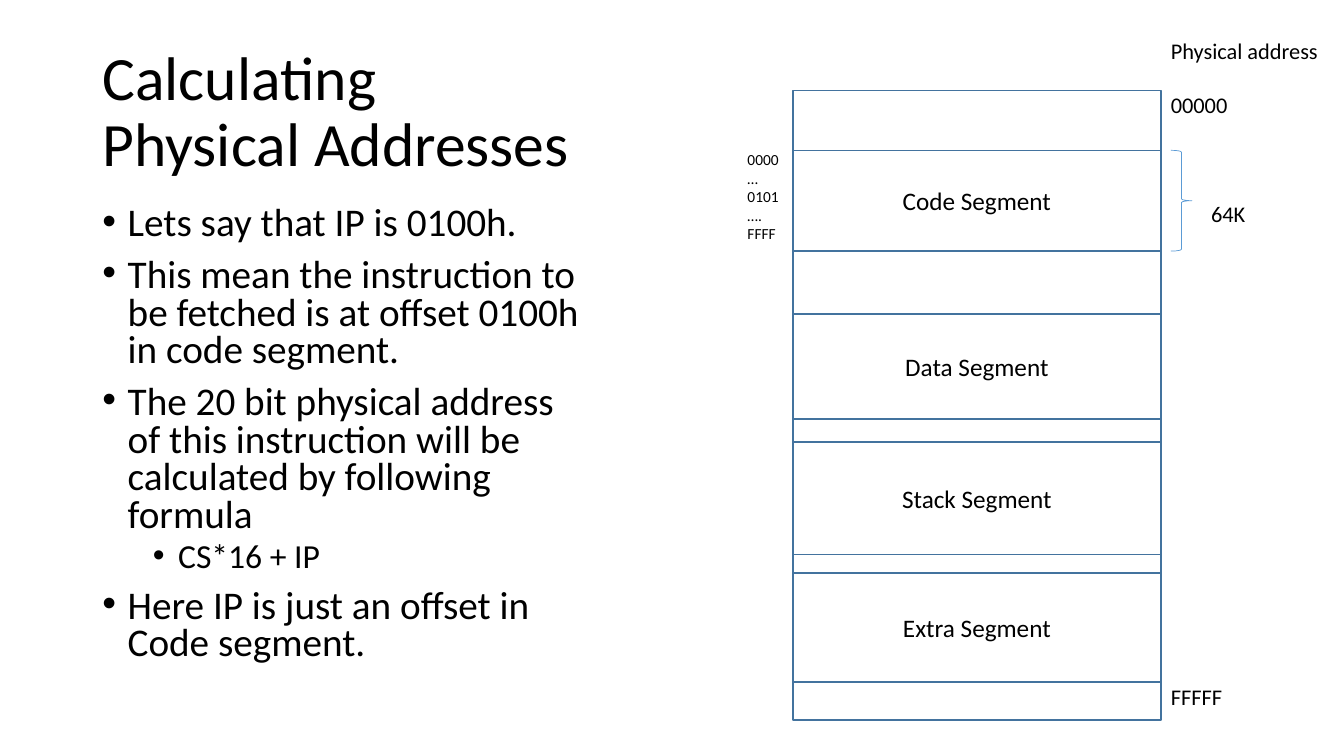
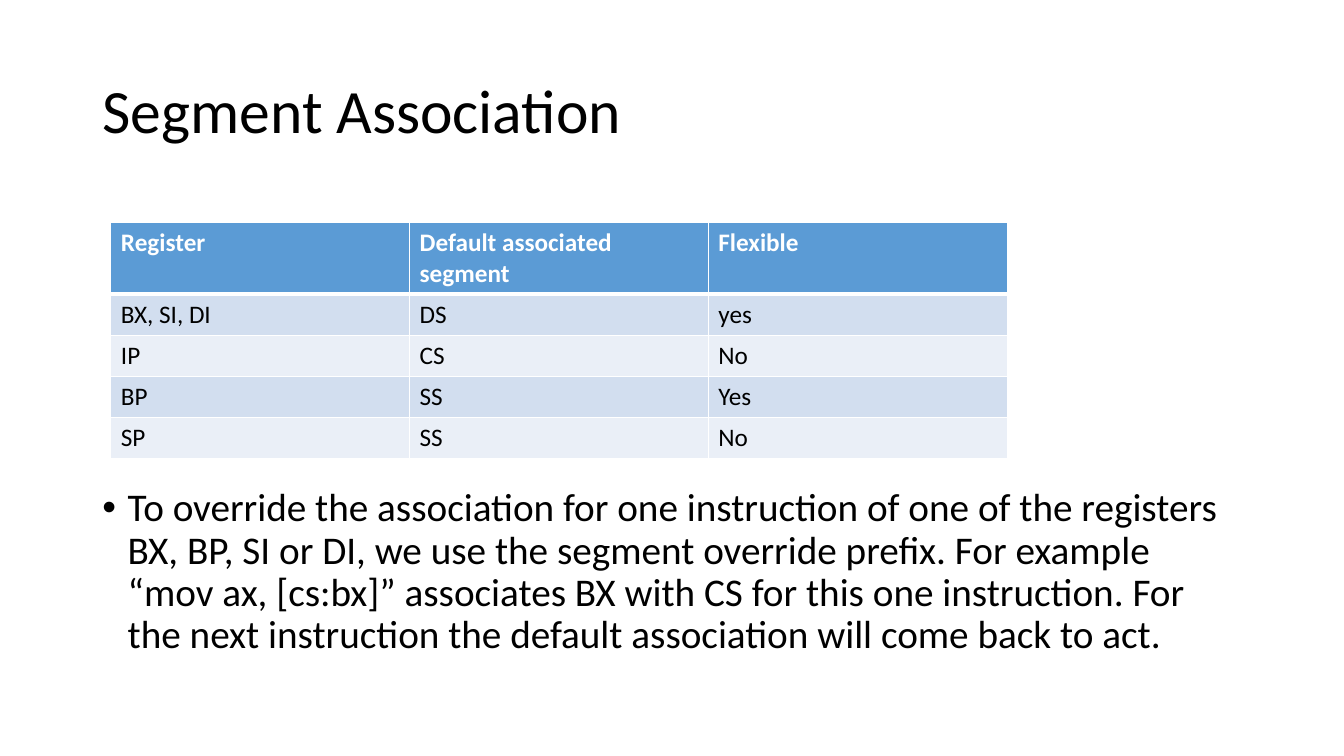
from lxml import etree
from pptx import Presentation
from pptx import util as u
from pptx.dml.color import RGBColor
from pptx.enum import shapes, text
from pptx.oxml.ns import qn

COLORS = {"ink": "000000", "paper": "FFFFFF", "outline": "43739E",
          "accent": "5B9BD5", "band": "D2DEEF", "pale": "EAEFF7"}
FONT = "Calibri"
COLUMNS, ROWS = 160, 90
LEFT, MIDDLE, TOP = text.PP_ALIGN.LEFT, text.MSO_ANCHOR.MIDDLE, text.MSO_ANCHOR.TOP
TITLE_TOP, TITLE_HEIGHT = 4.8, 17.4
MARGIN = 11
BULLET_LEVELS = [{"size": 28, "before": 10, "indent": 0.25},
                 {"size": 24, "before": 5, "indent": 0.75}]


def rgb(name):
    return RGBColor.from_string(COLORS[name])


def assign(obj, **values):
    for name, value in values.items():
        setattr(obj, name, value)


class Deck:
    """Holds the shared style and the current slide; boxes are (column, row, columns, rows)."""

    def __init__(self):
        self.prs = Presentation()
        assign(self.prs, slide_width=u.Inches(13.33), slide_height=u.Inches(7.5))
        self.slide = None

    def x(self, columns):
        return int(self.prs.slide_width * columns / COLUMNS)

    def y(self, rows):
        return int(self.prs.slide_height * rows / ROWS)

    def box(self, left, top, width, height):
        return self.x(left), self.y(top), self.x(width), self.y(height)

    def place(self, sp, box):
        assign(sp, **dict(zip(("left", "top", "width", "height"), self.box(*box))))

    def fill_text(self, tf, lines, size, color="ink", bold=False, align=LEFT, anchor=TOP):
        assign(tf, word_wrap=True, auto_size=text.MSO_AUTO_SIZE.NONE, vertical_anchor=anchor)
        for i, line in enumerate(lines):
            p = tf.paragraphs[0] if i == 0 else tf.add_paragraph()
            p.alignment = align
            r = p.add_run()
            r.text = line
            assign(r.font, name=FONT, size=u.Pt(size), bold=bold)
            r.font.color.rgb = rgb(color)
        return tf.paragraphs

    def new_slide(self, title, width):
        self.slide = self.prs.slides.add_slide(self.prs.slide_layouts[1])
        sp = self.slide.shapes.title
        self.place(sp, (MARGIN, TITLE_TOP, width, TITLE_HEIGHT))
        for p in self.fill_text(sp.text_frame, [title], 44, anchor=MIDDLE):
            p.line_spacing = 0.9

    def bullets(self, box, items, spacing):
        """Fill the body placeholder with (level, text) items."""
        sp = self.slide.placeholders[1]
        self.place(sp, box)
        paragraphs = self.fill_text(sp.text_frame, [line for _, line in items], 28)
        for p, (level, _) in zip(paragraphs, items):
            style = BULLET_LEVELS[level]
            assign(p, level=level, line_spacing=spacing, space_before=u.Pt(style["before"]))
            p.runs[0].font.size = u.Pt(style["size"])
            pPr = p._p.get_or_add_pPr()
            pPr.set("marL", str(u.Inches(style["indent"])))
            pPr.set("indent", str(-u.Inches(0.25)))
            etree.SubElement(pPr, qn("a:buFont")).set("typeface", "Arial")
            etree.SubElement(pPr, qn("a:buChar")).set("char", "•")

    def outline(self, kind, box, label=None, color="outline", weight=1):
        sp = self.slide.shapes.add_shape(kind, *self.box(*box))
        sp.shadow.inherit = False
        sp.fill.background()
        sp.line.color.rgb = rgb(color)
        sp.line.width = u.Pt(weight)
        if label:
            self.fill_text(sp.text_frame, [label], 18,
                           align=text.PP_ALIGN.CENTER, anchor=MIDDLE)

    def label(self, box, lines, size, anchor=TOP):
        sp = self.slide.shapes.add_textbox(*self.box(*box))
        self.fill_text(sp.text_frame, lines, size, anchor=anchor)

    def cell_borders(self, cell, bottom):
        tcPr = cell._tc.get_or_add_tcPr()
        for side, weight in (("L", 1), ("R", 1), ("T", 1), ("B", bottom)):
            ln = etree.SubElement(tcPr, qn("a:ln" + side), w=str(u.Pt(weight)))
            fill = etree.SubElement(ln, qn("a:solidFill"))
            etree.SubElement(fill, qn("a:srgbClr"), val=COLORS["paper"])

    def table(self, box, rows, header_height):
        frame = self.slide.shapes.add_table(len(rows), len(rows[0]), *self.box(*box))
        row_height = (box[3] - header_height) / (len(rows) - 1)
        for i, values in enumerate(rows):
            header = i == 0
            frame.table.rows[i].height = self.y(header_height if header else row_height)
            fill = "accent" if header else ("pale", "band")[i % 2]
            for j, value in enumerate(values):
                cell = frame.table.cell(i, j)
                self.cell_borders(cell, 3 if header else 1)
                cell.fill.solid()
                cell.fill.fore_color.rgb = rgb(fill)
                self.fill_text(cell.text_frame, [value], 18,
                               "paper" if header else "ink", bold=header)


def address_slide(deck):
    deck.new_slide("Calculating Physical Addresses", 59.2)
    deck.bullets((MARGIN, 24, 59.2, 57.1), [
        (0, "Lets say that IP is 0100h."),
        (0, "This mean the instruction to be fetched is at offset 0100h in code segment."),
        (0, "The 20 bit physical address of this instruction will be calculated "
            "by following formula"),
        (1, "CS*16 + IP"),
        (0, "Here IP is just an offset in Code segment."),
    ], 0.8)

    memory_left, memory_width = 94.4, 43.8
    code_top, code_height = 17.9, 12
    rect = shapes.MSO_SHAPE.RECTANGLE
    deck.outline(rect, (memory_left, 10.8, memory_width, 74.9))
    for name, top, height in (("Code", code_top, code_height), ("Data", 37.4, 12.5),
                              ("Stack", 52.6, 13.4), ("Extra", 68.2, 13)):
        deck.outline(rect, (memory_left, top, memory_width, height), name + " Segment")

    memory_right = memory_left + memory_width
    label_height = 4.4
    for line, indent, center in (("Physical address", 0, 6), ("00000", 0, 12.5),
                                 ("64K", 4.8, 25.4), ("FFFFF", 0, 82.9)):
        deck.label((memory_right + indent, center - label_height / 2, 21 - indent, label_height),
                   [line], 16, MIDDLE)
    deck.outline(shapes.MSO_SHAPE.RIGHT_BRACE, (memory_right + 1.2, code_top, 2.5, code_height),
                 color="accent", weight=0.5)
    deck.label((memory_left - 6.6, 17.3, 6.6, 12.4), ["0000", "…", "0101", "….", "FFFF"], 11)


def association_slide(deck):
    deck.new_slide("Segment Association", 138)
    deck.bullets((MARGIN, 57.5, 138, 23.6), [
        (0, "To override the association for one instruction of one of the registers "
            "BX, BP, SI or DI, we use the segment override prefix. For example "
            "“mov ax, [cs:bx]” associates BX with CS for this one instruction. "
            "For the next instruction the default association will come back to act."),
    ], 0.9)
    deck.table((13.2, 26.5, 106.7, 28), [
        ("Register", "Default associated segment", "Flexible"),
        ("BX, SI, DI", "DS", "yes"),
        ("IP", "CS", "No"),
        ("BP", "SS", "Yes"),
        ("SP", "SS", "No"),
    ], 8.4)


def main():
    deck = Deck()
    address_slide(deck)
    association_slide(deck)
    deck.prs.save("out.pptx")


if __name__ == "__main__":
    main()
